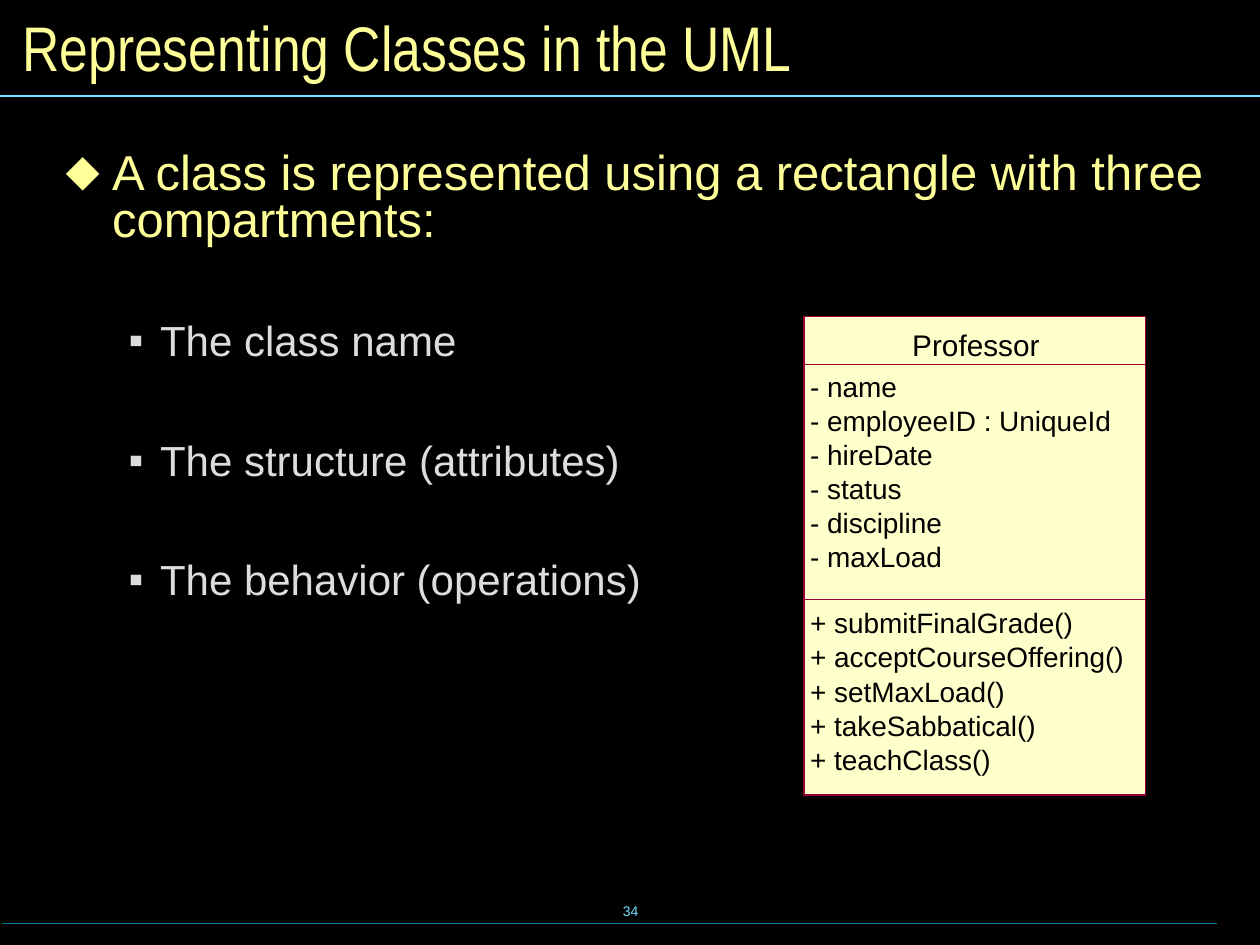
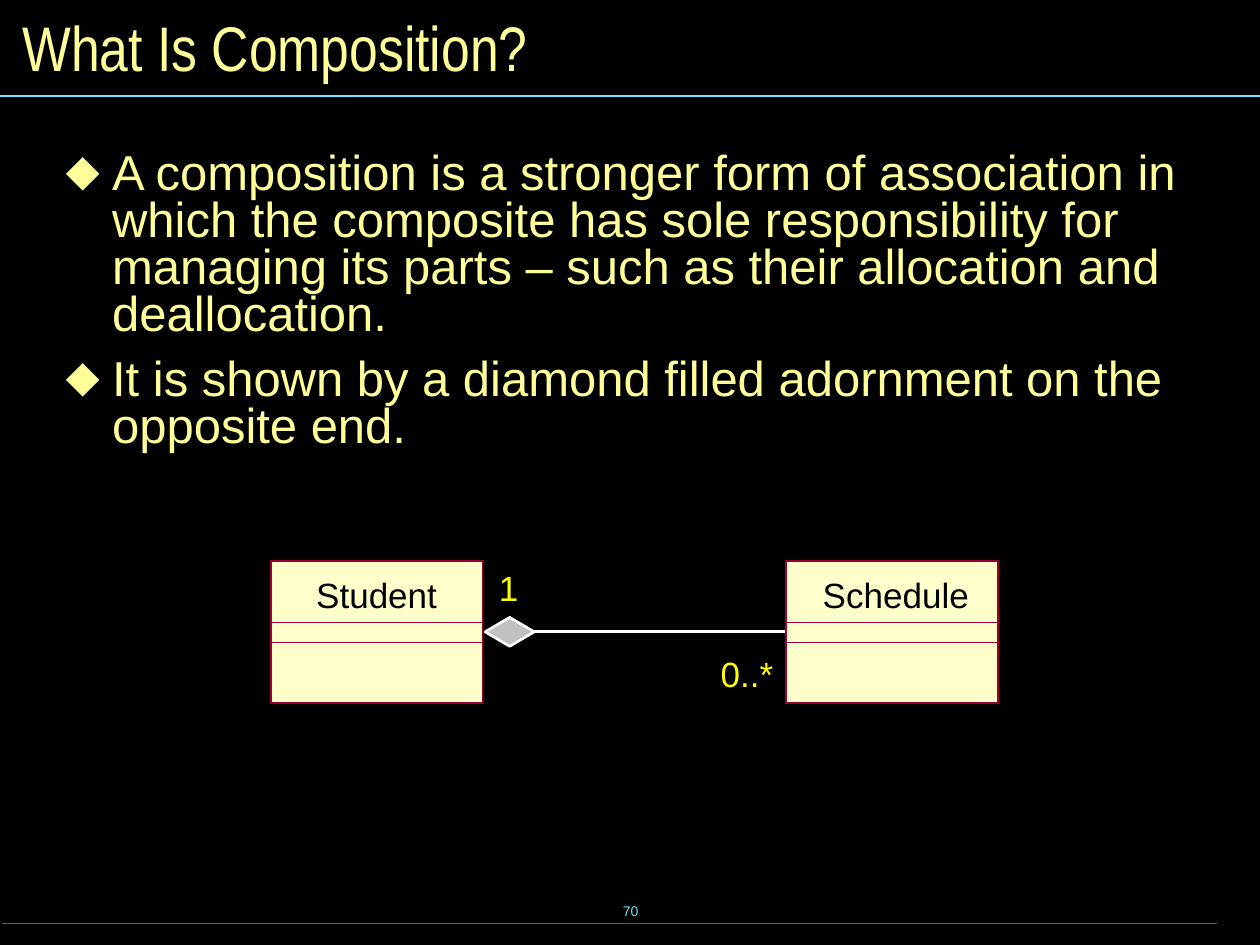
from dataclasses import dataclass

from lxml import etree
from pptx import Presentation
from pptx import util as u
from pptx.dml.color import RGBColor
from pptx.enum import shapes, text
from pptx.oxml import ns

# Content
CLASS_SLIDE = {
    "title": "Representing Classes in the UML",
    "number": "34",
    "body": [
        (0, "A class is represented using a rectangle with three compartments:"),
        (1, "The class name"),
        (1, "The structure (attributes)"),
        (1, "The behavior (operations)"),
    ],
}
PROFESSOR_ATTRIBUTES = ["- name", "- employeeID : UniqueId", "- hireDate",
                        "- status", "- discipline", "- maxLoad"]
PROFESSOR_OPERATIONS = ["+ submitFinalGrade()", "+ acceptCourseOffering()",
                        "+ setMaxLoad()", "+ takeSabbatical()", "+ teachClass()"]
COMPOSITION_SLIDE = {
    "title": "What Is Composition?",
    "number": "70",
    "body": [
        (0, "A composition is a stronger form of association in which the "
            "composite has sole responsibility for managing its parts – such as "
            "their allocation and deallocation."),
        (0, "It is shown by a diamond filled adornment on the opposite end."),
    ],
}


@dataclass(frozen=True)
class Theme:
    background: str = "000000"
    heading: str = "FFFF99"
    detail: str = "DDDDDD"
    accent: str = "73E1FF"
    footer_rule: str = "007E9F"
    class_fill: str = "FFFFCC"
    class_line: str = "990033"
    class_text: str = "000000"
    multiplicity: str = "FFFF00"
    association: str = "FFFFFF"
    diamond: str = "C0C0C0"
    font: str = "Arial"
    title_font: str = "Arial Narrow"
    title_size: float = 36
    number_size: float = 8
    member_size: float = 16
    professor_size: float = 17
    diagram_size: float = 20
    rule_width: float = 1


THEME = Theme()

# Bullet levels: symbol, colour, size, left margin, hang, line and paragraph spacing
LEVELS = [
    dict(symbol="⬥", color=THEME.heading, size=28, margin=0.37, hang=0.37,
         line=0.8, before=10.5),
    dict(symbol="▪", color=THEME.detail, size=24, margin=0.75, hang=0.25,
         line=0.87, before=43),
]
MEMBER_PITCH = 0.27


def rgb(color):
    return RGBColor.from_string(color)


def add_run(paragraph, words, size, color, font=THEME.font):
    run = paragraph.add_run()
    run.text = words
    run.font.size = u.Pt(size)
    run.font.name = font
    run.font.color.rgb = rgb(color)


def add_box(slide, left, top, width, height, inset=(0, 0),
            anchor=text.MSO_ANCHOR.TOP):
    box = slide.shapes.add_textbox(*map(u.Inches, (left, top, width, height)))
    frame = box.text_frame
    frame.word_wrap = True
    frame.vertical_anchor = anchor
    frame.margin_left = frame.margin_right = u.Inches(inset[0])
    frame.margin_top = frame.margin_bottom = u.Inches(inset[1])
    return frame


def add_label(slide, words, left, top, width, height, size, color=THEME.class_text):
    frame = add_box(slide, left, top, width, height)
    add_run(frame.paragraphs[0], words, size, color)


def add_line(slide, start, end, color, width):
    points = map(u.Inches, (*start, *end))
    line = slide.shapes.add_connector(shapes.MSO_CONNECTOR.STRAIGHT, *points)
    line.line.color.rgb = rgb(color)
    line.line.width = u.Pt(width)
    etree.SubElement(line._element.spPr, ns.qn("a:effectLst"))


def style_shape(shape, fill, line, width):
    shape.shadow.inherit = False
    shape.fill.solid()
    shape.fill.fore_color.rgb = rgb(fill)
    shape.line.color.rgb = rgb(line)
    shape.line.width = u.Pt(width)


def add_bullet(paragraph, level, first):
    style = LEVELS[level]
    properties = paragraph._p.get_or_add_pPr()
    properties.set("marL", str(u.Inches(style["margin"])))
    properties.set("indent", str(-u.Inches(style["hang"])))
    color = etree.SubElement(properties, ns.qn("a:buClr"))
    etree.SubElement(color, ns.qn("a:srgbClr"), val=style["color"])
    etree.SubElement(properties, ns.qn("a:buFont"), typeface=THEME.font)
    etree.SubElement(properties, ns.qn("a:buChar"), char=style["symbol"])
    paragraph.level = level
    paragraph.line_spacing = style["line"]
    paragraph.space_before = u.Pt(0 if first else style["before"])


def add_slide(presentation, content):
    """Background, rules, page number, title and bulleted body."""
    slide = presentation.slides.add_slide(presentation.slide_layouts[6])
    slide.background.fill.solid()
    slide.background.fill.fore_color.rgb = rgb(THEME.background)

    number = add_box(slide, 3.42, 6.98, 3.17, 0.5, (0.1, 0.05),
                     text.MSO_ANCHOR.MIDDLE).paragraphs[0]
    number.alignment = text.PP_ALIGN.CENTER
    add_run(number, content["number"], THEME.number_size, THEME.accent)
    add_line(slide, (0, 0.76), (10, 0.76), THEME.accent, THEME.rule_width)
    add_line(slide, (0.02, 7.33), (9.66, 7.33), THEME.footer_rule, THEME.rule_width)

    title = add_box(slide, 0.08, 0.08, 9.84, 0.58, (0.1, 0.05),
                    text.MSO_ANCHOR.MIDDLE)
    add_run(title.paragraphs[0], content["title"], THEME.title_size,
            THEME.heading, THEME.title_font)

    body = add_box(slide, 0.4, 1.15, 9.29, 5.52, (0.12, 0.06))
    for index, (level, words) in enumerate(content["body"]):
        paragraph = body.add_paragraph() if index else body.paragraphs[0]
        add_bullet(paragraph, level, first=index == 0)
        add_run(paragraph, words, LEVELS[level]["size"], LEVELS[level]["color"])
    return slide


def add_class(slide, left, width, tops, bottom, line_width):
    """Stacked rectangles, each reaching from its top to the common bottom."""
    for top in tops:
        box = slide.shapes.add_shape(
            shapes.MSO_SHAPE.RECTANGLE,
            *map(u.Inches, (left, top, width, bottom - top)))
        style_shape(box, THEME.class_fill, THEME.class_line, line_width)


def add_members(slide, members, top):
    for index, member in enumerate(members):
        add_label(slide, member, 6.43, top + index * MEMBER_PITCH, 2.6,
                  MEMBER_PITCH, THEME.member_size)


def build_class_slide(presentation):
    slide = add_slide(presentation, CLASS_SLIDE)
    add_class(slide, 6.38, 2.71, (2.51, 2.89, 4.76), 6.31, 0)
    add_label(slide, "Professor", 7.24, 2.59, 1.2, 0.28, THEME.professor_size)
    add_members(slide, PROFESSOR_ATTRIBUTES, 2.93)
    add_members(slide, PROFESSOR_OPERATIONS, 4.81)


def build_composition_slide(presentation):
    slide = add_slide(presentation, COMPOSITION_SLIDE)
    class_width, middle = 1.68, 5.01

    # Association between the two classes
    add_line(slide, (6.24, middle), (4.24, middle), THEME.association, 1.5)
    for name, left, name_left in (("Student", 2.15, 2.51), ("Schedule", 6.24, 6.53)):
        add_class(slide, left, class_width, (4.45, 4.94, 5.1), 5.58, 1)
        add_label(slide, name, name_left, 4.55, 1.3, 0.33, THEME.diagram_size)

    # Multiplicities
    for words, left, top, width in (("1", 3.96, 4.5, 0.2), ("0..*", 5.72, 5.18, 0.5)):
        add_label(slide, words, left, top, width, 0.33, THEME.diagram_size,
                  THEME.multiplicity)

    # Diamond at the whole's end
    diamond = slide.shapes.add_shape(
        shapes.MSO_SHAPE.DIAMOND, *map(u.Inches, (3.85, 4.9, 0.39, 0.23)))
    style_shape(diamond, THEME.diamond, THEME.association, 1.5)


def main():
    presentation = Presentation()
    presentation.slide_width = u.Inches(10)
    presentation.slide_height = u.Inches(7.5)
    build_class_slide(presentation)
    build_composition_slide(presentation)
    presentation.save("out.pptx")


if __name__ == "__main__":
    main()
